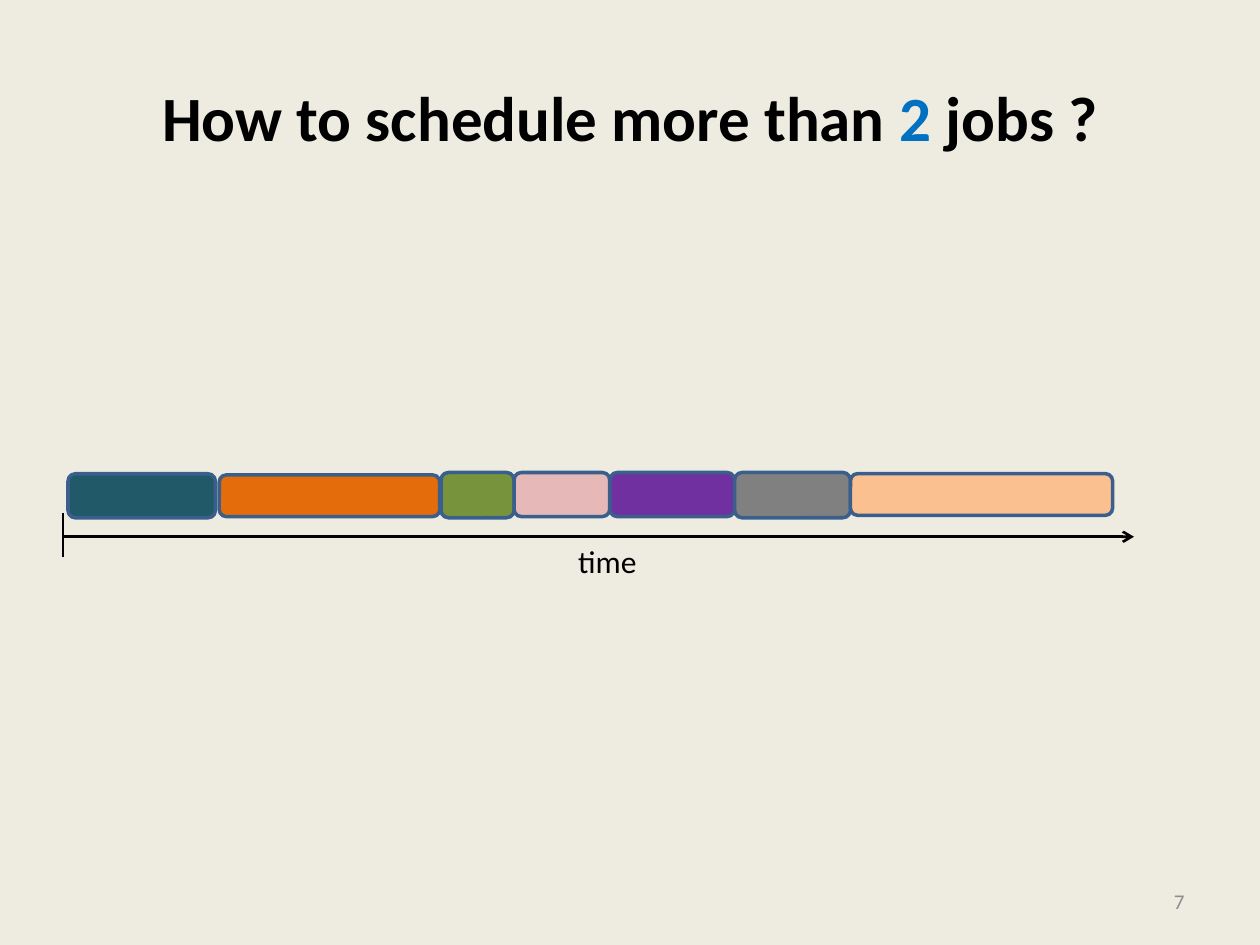
from typing import NamedTuple

from lxml import etree
from pptx import Presentation
from pptx.dml.color import RGBColor
from pptx.enum.shapes import MSO_CONNECTOR, MSO_SHAPE
from pptx.enum.text import MSO_ANCHOR, PP_ALIGN
from pptx.oxml.ns import qn
from pptx.util import Inches, Pt

ROUNDED = MSO_SHAPE.ROUNDED_RECTANGLE
STRAIGHT = MSO_CONNECTOR.STRAIGHT
TOP, MIDDLE = MSO_ANCHOR.TOP, MSO_ANCHOR.MIDDLE
LEFT, CENTER, RIGHT = PP_ALIGN.LEFT, PP_ALIGN.CENTER, PP_ALIGN.RIGHT

FONT = "Calibri"
BACKGROUND = RGBColor(0xEE, 0xEC, 0xE1)
BLACK = RGBColor(0x00, 0x00, 0x00)
BLUE = RGBColor(0x00, 0x70, 0xC0)
PAGE_GRAY = RGBColor(0x8C, 0x8C, 0x8C)
JOB_BORDER = RGBColor(0x3A, 0x5F, 0x8C)
TEAL = RGBColor(0x21, 0x59, 0x68)
ORANGE = RGBColor(0xE4, 0x6C, 0x0A)
GREEN = RGBColor(0x77, 0x93, 0x3C)
PINK = RGBColor(0xE6, 0xB9, 0xB8)
PURPLE = RGBColor(0x70, 0x30, 0xA0)
GRAY = RGBColor(0x80, 0x80, 0x80)
PEACH = RGBColor(0xFA, 0xC0, 0x90)


class Job(NamedTuple):
    left: float
    top: float
    width: float
    height: float
    color: RGBColor


class Run(NamedTuple):
    text: str
    color: RGBColor = BLACK


JOBS = [
    Job(0.54, 3.76, 1.17, 0.35, TEAL),
    Job(1.74, 3.77, 1.75, 0.33, ORANGE),
    Job(3.5, 3.75, 0.58, 0.36, GREEN),
    Job(4.08, 3.75, 0.76, 0.35, PINK),
    Job(4.84, 3.75, 0.99, 0.35, PURPLE),
    Job(5.83, 3.75, 0.92, 0.36, GRAY),
    Job(6.75, 3.76, 2.08, 0.33, PEACH),
]
AXIS_START, AXIS_END, AXIS_Y = 0.5, 9, 4.26
TICK_TOP, TICK_BOTTOM = 4.07, 4.42


def add_text(slide, runs: list[Run], left: float, top: float, width: float, height: float, *,
             size: float, bold: bool = False, align=LEFT, anchor=TOP, wrap: bool = True) -> None:
    frame = slide.shapes.add_textbox(
        Inches(left), Inches(top), Inches(width), Inches(height)).text_frame
    frame.word_wrap = wrap
    frame.vertical_anchor = anchor
    paragraph = frame.paragraphs[0]
    paragraph.alignment = align
    for text, color in runs:
        run = paragraph.add_run()
        run.text = text
        run.font.name = FONT
        run.font.size = Pt(size)
        run.font.bold = bold
        run.font.color.rgb = color


def add_job(slide, job: Job) -> None:
    block = slide.shapes.add_shape(
        ROUNDED, Inches(job.left), Inches(job.top), Inches(job.width), Inches(job.height))
    block.shadow.inherit = False
    block.fill.solid()
    block.fill.fore_color.rgb = job.color
    block.line.color.rgb = JOB_BORDER
    block.line.width = Pt(2)


def add_line(slide, x1: float, y1: float, x2: float, y2: float, arrow: bool = False) -> None:
    line = slide.shapes.add_connector(STRAIGHT, Inches(x1), Inches(y1), Inches(x2), Inches(y2))
    line.line.color.rgb = BLACK
    line.line.width = Pt(1.5)
    if arrow:
        etree.SubElement(line.line._get_or_add_ln(), qn("a:tailEnd"), type="arrow")
    etree.SubElement(line._element.spPr, qn("a:effectLst"))


def main() -> None:
    deck = Presentation()
    deck.slide_width, deck.slide_height = Inches(10), Inches(7.5)
    slide = deck.slides.add_slide(deck.slide_layouts[6])
    slide.background.fill.solid()
    slide.background.fill.fore_color.rgb = BACKGROUND

    title = [Run("How to schedule more than "), Run("2", BLUE), Run(" jobs ?")]
    add_text(slide, title, 0.5, 0.3, 9, 1.25, size=36, bold=True, align=CENTER, anchor=MIDDLE)
    add_text(slide, [Run("7", PAGE_GRAY)], 7.17, 6.95, 2.33, 0.4,
             size=12, align=RIGHT, anchor=MIDDLE)

    for job in JOBS:
        add_job(slide, job)

    add_line(slide, AXIS_START, AXIS_Y, AXIS_END, AXIS_Y, arrow=True)
    add_line(slide, AXIS_START, TICK_TOP, AXIS_START, TICK_BOTTOM)
    add_text(slide, [Run("time")], 4.49, 4.25, 0.67, 0.4, size=18, wrap=False)

    deck.save("out.pptx")


if __name__ == "__main__":
    main()
